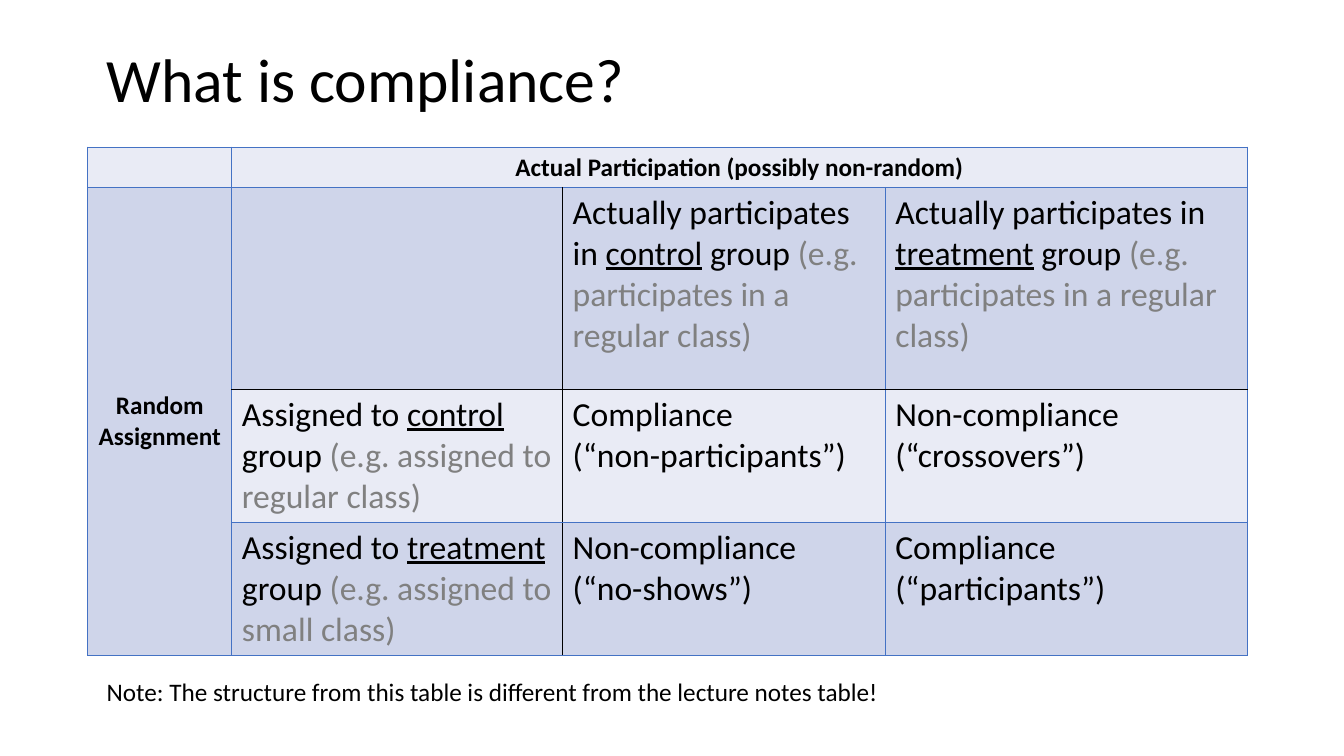
from lxml.etree import SubElement
from pptx import Presentation
from pptx.dml.color import RGBColor
from pptx.enum.text import MSO_ANCHOR as Anchor, PP_ALIGN as Align
from pptx.oxml.ns import qn
from pptx.util import Inches, Pt

BLACK = RGBColor(0x00, 0x00, 0x00)
GREY = RGBColor(0x80, 0x80, 0x80)
BLUE = RGBColor(0x44, 0x72, 0xC4)
LIGHT = RGBColor(0xE9, 0xEB, 0xF5)
DARK = RGBColor(0xCF, 0xD5, 0xEA)

COLUMN_WIDTHS = [1.43, 3.28, 3.2, 3.59]
ROW_HEIGHTS = [0.4, 2, 1.32, 1.32]
ROW_FILLS = [LIGHT, DARK, LIGHT, DARK]


def write(frame, text, size=24, bold=False, align=Align.LEFT, anchor=Anchor.TOP, spacing=None):
    """Split runs at "|"; a run led by "_" is underlined, one led by "(e.g." is grey."""
    frame.word_wrap = True
    frame.vertical_anchor = anchor
    for number, line in enumerate(text.split("\n")):
        paragraph = frame.add_paragraph() if number else frame.paragraphs[0]
        paragraph.alignment = align
        paragraph.line_spacing = spacing
        for part in line.split("|"):
            run = paragraph.add_run()
            run.text = part.lstrip("_")
            font = run.font
            font.name, font.size, font.bold = "Calibri", Pt(size), bold
            font.underline = part.startswith("_")
            font.color.rgb = GREY if part.startswith("(e.g.") else BLACK


def set_borders(cell, colors):
    """Draw 1 pt borders; colors run left, right, top, bottom."""
    properties = cell._tc.get_or_add_tcPr()
    for side, color in zip("LRTB", colors):
        line = SubElement(properties, qn(f"a:ln{side}"), w=str(Pt(1)))
        fill = SubElement(line, qn("a:solidFill"))
        SubElement(fill, qn("a:srgbClr"), val=str(color))


presentation = Presentation()
presentation.slide_width = Inches(13.33)
presentation.slide_height = Inches(7.5)
slide = presentation.slides.add_slide(presentation.slide_layouts[6])

title = slide.shapes.add_textbox(Inches(0.96), Inches(0.09), Inches(11.5), Inches(1.45))
write(title.text_frame, "What is compliance?", size=44, anchor=Anchor.MIDDLE, spacing=0.9)

table = slide.shapes.add_table(
    len(ROW_HEIGHTS), len(COLUMN_WIDTHS), Inches(0.87), Inches(1.46),
    Inches(sum(COLUMN_WIDTHS)), Inches(sum(ROW_HEIGHTS))).table
for column, width in zip(table.columns, COLUMN_WIDTHS):
    column.width = Inches(width)
for row, height in zip(table.rows, ROW_HEIGHTS):
    row.height = Inches(height)

# Black rules separate the row and column labels from the four outcomes.
for row in range(len(ROW_HEIGHTS)):
    for column in range(len(COLUMN_WIDTHS)):
        cell = table.cell(row, column)
        body = row > 0 and column > 0
        black_sides = [column == 2, column == 1, row == 2, row == 1]
        set_borders(cell, [BLACK if body and side else BLUE for side in black_sides])
        cell.fill.solid()
        cell.fill.fore_color.rgb = DARK if column == 0 and row else ROW_FILLS[row]

table.cell(0, 1).merge(table.cell(0, 3))
table.cell(1, 0).merge(table.cell(3, 0))
for row, column, heading in [(0, 1, "Actual Participation (possibly non-random)"),
                             (1, 0, "Random Assignment")]:
    cell = table.cell(row, column)
    write(cell.text_frame, heading, size=18, bold=True, align=Align.CENTER)
    cell.vertical_anchor = Anchor.MIDDLE

groups = ["control", "treatment"]
class_types = ["regular", "small"]
outcomes = [
    ["Compliance\n(“non-participants”)", "Non-compliance (“crossovers”)"],
    ["Non-compliance\n(“no-shows”)", "Compliance\n(“participants”)"],
]
for index, (group, class_type) in enumerate(zip(groups, class_types)):
    write(table.cell(1, 2 + index).text_frame,
          f"Actually participates in |_{group}| group |(e.g. participates in a regular class)")
    write(table.cell(2 + index, 1).text_frame,
          f"Assigned to |_{group}| group |(e.g. assigned to {class_type} class)")
    for column, outcome in enumerate(outcomes[index], start=2):
        write(table.cell(2 + index, column).text_frame, outcome)

note = slide.shapes.add_textbox(Inches(0.96), Inches(6.66), Inches(11.4), Inches(0.4))
write(note.text_frame, size=18,
      text="Note: The structure from this table is different from the lecture notes table!")

presentation.save("out.pptx")
